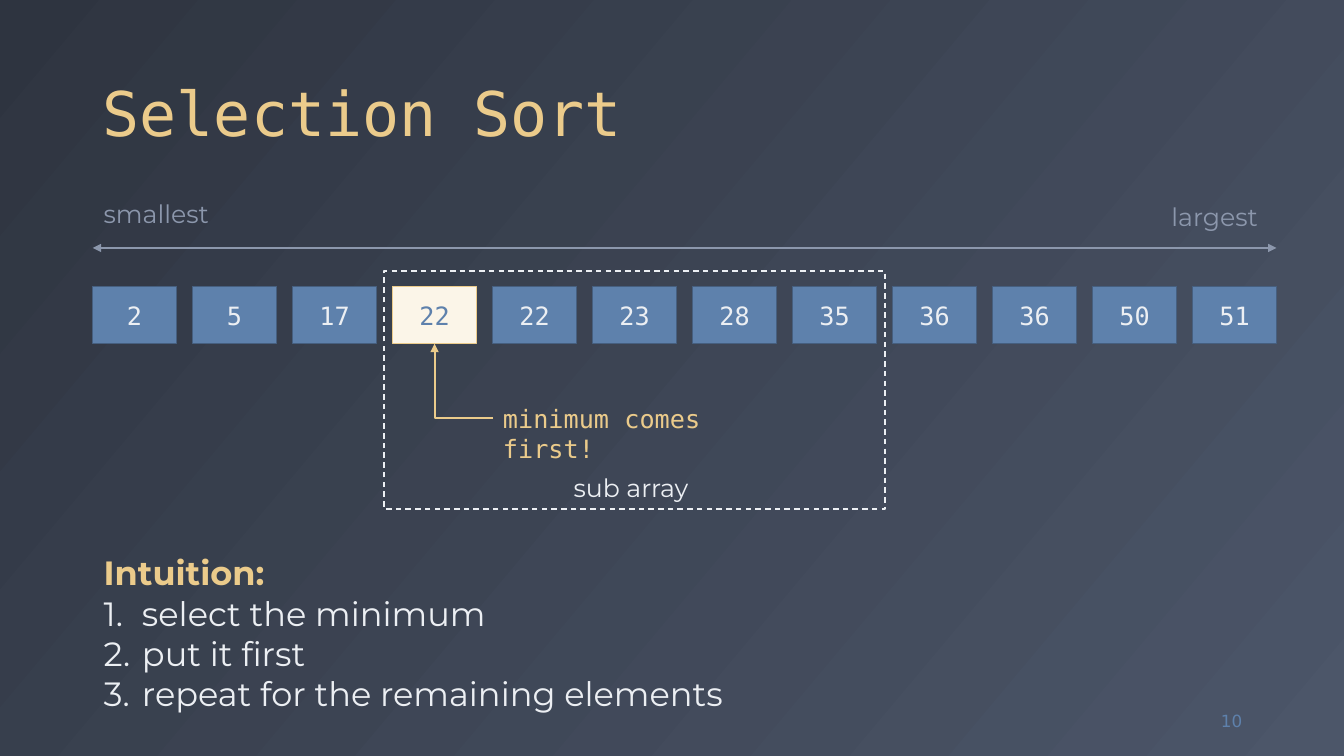
from pptx import Presentation
from pptx.dml.color import RGBColor
from pptx.enum.dml import MSO_LINE
from pptx.enum.shapes import MSO_CONNECTOR as LINK, MSO_SHAPE as SHAPE
from pptx.enum.text import MSO_ANCHOR as ANCHOR, PP_ALIGN as ALIGN
from pptx.oxml.ns import qn
from pptx.util import Inches, Pt
from lxml.etree import SubElement as Sub

GOLD, CREAM, BLUE, EDGE = "EBCB8B", "FBF5E8", "5E81AC", "465F7F"
PALE, GRAY, DARK, SLATE = "ECEFF3", "8C97AC", "2E3440", "4C5669"
MONO, SANS, BODY = "DejaVu Sans Mono", "DejaVu Sans", "Montserrat"

VALUES = [2, 5, 17, 22, 22, 23, 28, 35, 36, 36, 50, 51]
FIRST = 3
STEPS = ["select the minimum", "put it first", "repeat for the remaining elements"]
LABELS = [
    ("Selection Sort", (0.92, 0.18, 11.5, 1.36),
     dict(size=44, face=MONO, color=GOLD, anchor=ANCHOR.BOTTOM, space=0.9)),
    ("10", (11.59, 6.95, 0.83, 0.4),
     dict(size=12, face=SANS, color=BLUE, anchor=ANCHOR.MIDDLE, align=ALIGN.RIGHT)),
    ("largest", (11.52, 1.95, 1.07, 0.4), dict(color=GRAY)),
    ("smallest", (0.93, 1.92, 1.25, 0.4), dict(color=GRAY)),
    ("minimum comes first!", (4.89, 3.95, 2.94, 0.4), dict(face=MONO, color=GOLD)),
    ("sub array", (5.59, 4.64, 1.4, 0.4), {}),
]
LEFT, RIGHT, TOP, WIDE, HIGH = 0.92, 12.66, 2.84, 0.83, 0.57
STEP = (RIGHT - LEFT - WIDE) / (len(VALUES) - 1)

deck = Presentation()
deck.slide_width, deck.slide_height = Inches(13.33), Inches(7.5)
slide = deck.slides.add_slide(deck.slide_layouts[6])
shapes = slide.shapes


def rgb(code):
    return RGBColor.from_string(code)


def write(par, text, size=18, face=BODY, color=PALE, bold=False, align=ALIGN.LEFT, space=None):
    par.text = text
    par.alignment = align
    if space:
        par.line_spacing = space
    font = par.runs[0].font
    font.size, font.name, font.bold = Pt(size), face, bold
    font.color.rgb = rgb(color)


def frame(at):
    text = shapes.add_textbox(*map(Inches, at)).text_frame
    text.word_wrap = True
    return text


def label(text, at, anchor=ANCHOR.TOP, **form):
    box = frame(at)
    box.vertical_anchor = anchor
    write(box.paragraphs[0], text, **form)


def rect(at, fill, edge):
    box = shapes.add_shape(SHAPE.RECTANGLE, *map(Inches, at))
    box.shadow.inherit = False
    if fill:
        box.fill.solid()
        box.fill.fore_color.rgb = rgb(fill)
    else:
        box.fill.background()
    box.line.color.rgb = rgb(edge)
    box.line.width = Pt(1)
    return box


def arrow(kind, ends, color, tips):
    link = shapes.add_connector(kind, *map(Inches, ends))
    link.line.color.rgb = rgb(color)
    link.line.width = Pt(1.5)
    for tip in tips:
        Sub(link.line._get_or_add_ln(), qn(f"a:{tip}End"), type="triangle")
    props = link._element.spPr
    Sub(props, qn("a:effectLst"))
    return props


back = slide.background.fill
back.gradient()
back.gradient_angle = 320
for stop, color in zip(back.gradient_stops, (DARK, SLATE)):
    stop.color.rgb = rgb(color)

for i, value in enumerate(VALUES):
    fill, edge, ink = (CREAM, GOLD, BLUE) if i == FIRST else (BLUE, EDGE, PALE)
    cell = rect((LEFT + i * STEP, TOP, WIDE, HIGH), fill, edge).text_frame
    cell.vertical_anchor = ANCHOR.MIDDLE
    write(cell.paragraphs[0], str(value), face=MONO, color=ink, align=ALIGN.CENTER)

arrow(LINK.STRAIGHT, (LEFT, 2.46, RIGHT, 2.46), GRAY, ("head", "tail"))
rect((3.81, 2.69, 4.97, 2.36), None, PALE).line.dash_style = MSO_LINE.DASH

mid = LEFT + FIRST * STEP + WIDE / 2
bend = arrow(LINK.ELBOW, (mid, TOP + HIGH, 4.89, 4.15), GOLD, ("tail",))
bend.find(qn("a:xfrm")).set("rot", "10800000")
bend.find(qn("a:prstGeom")).set("prst", "bentConnector2")

for text, at, form in LABELS:
    label(text, at, **form)

notes = frame((0.93, 5.43, 6.41, 1.72))
write(notes.paragraphs[0], "Intuition:", size=24, color=GOLD, bold=True)
for step in STEPS:
    par = notes.add_paragraph()
    props = par._p.get_or_add_pPr()
    props.set("marL", str(Inches(0.38)))
    props.set("indent", str(-Inches(0.38)))
    Sub(props, qn("a:buFont"), typeface="+mj-lt")
    Sub(props, qn("a:buAutoNum"), type="arabicPeriod")
    write(par, step, size=24)

deck.save("out.pptx")
